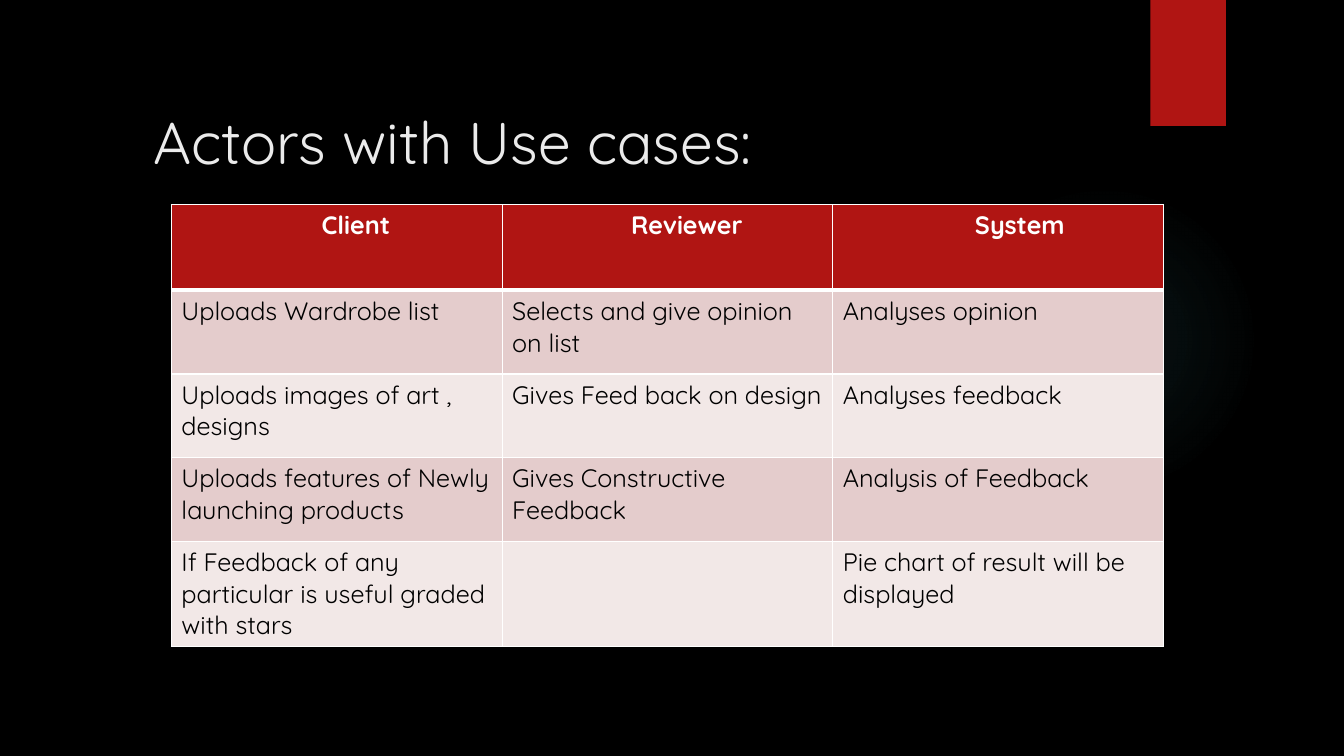
from lxml import etree
from pptx import Presentation
from pptx import util as u
from pptx.dml.color import RGBColor
from pptx.enum import shapes, text
from pptx.oxml import parse_xml
from pptx.oxml.ns import nsdecls, qn

BLACK = RGBColor(0x00, 0x00, 0x00)
WHITE = RGBColor(0xFF, 0xFF, 0xFF)
TITLE_GREY = RGBColor(0xEB, 0xEB, 0xEB)
RED = RGBColor(0xB0, 0x15, 0x13)
TEAL = RGBColor(0x50, 0xB9, 0xC1)
BANDS = [RGBColor(0xE4, 0xCC, 0xCC), RGBColor(0xF2, 0xE8, 0xE7)]
FONT = "Quicksand"


def add_span(para, wording, size, color, bold=False):
    span = para.add_run()
    span.text = wording
    span.font.name = FONT
    span.font.size = u.Pt(size)
    span.font.bold = bold
    span.font.color.rgb = color


def add_border(cell, side, width):
    line = etree.SubElement(cell._tc.get_or_add_tcPr(), qn(f"a:ln{side}"), w=str(u.Pt(width)))
    fill = etree.SubElement(line, qn("a:solidFill"))
    etree.SubElement(fill, qn("a:srgbClr"), val=str(WHITE))


deck = Presentation()
deck.slide_width, deck.slide_height = u.Inches(13.33), u.Inches(7.5)
page = deck.slides.add_slide(deck.slide_layouts[5])
page.background.fill.solid()
page.background.fill.fore_color.rgb = BLACK

# Soft glow, fading out from its centre
glow = page.shapes.add_shape(shapes.MSO_SHAPE.OVAL, u.Inches(9.41), u.Inches(1.83),
                             u.Inches(3.08), u.Inches(3.08))
glow.shadow.inherit = False
glow.line.fill.background()
glow.fill.background()
stops = "".join(
    f'<a:gs pos="{place * 1000}"><a:srgbClr val="{TEAL}"><a:alpha val="{alpha * 1000}"/></a:srgbClr></a:gs>'
    for place, alpha in [(0, 7), (36, 6), (69, 0)])
gradient = parse_xml(
    f'<a:gradFill {nsdecls("a")}><a:gsLst>{stops}</a:gsLst><a:path path="circle">'
    '<a:fillToRect l="50000" t="50000" r="50000" b="50000"/></a:path></a:gradFill>')
properties = glow._element.spPr
properties.replace(properties.find(qn("a:noFill")), gradient)

# Red tab at the top edge
tab = page.shapes.add_shape(shapes.MSO_SHAPE.RECTANGLE, u.Inches(11.41), 0,
                            u.Inches(0.75), u.Inches(1.25))
tab.shadow.inherit = False
tab.fill.solid()
tab.fill.fore_color.rgb = RED
tab.line.fill.background()

# Title
title = page.shapes.title
title.left, title.top = u.Inches(1.42), u.Inches(0.94)
title.width, title.height = u.Inches(10.5), u.Inches(0.91)
title.text_frame.vertical_anchor = text.MSO_ANCHOR.MIDDLE
title.text_frame.auto_size = text.MSO_AUTO_SIZE.NONE
title_para = title.text_frame.paragraphs[0]
title_para.alignment = text.PP_ALIGN.LEFT
add_span(title_para, "Actors with Use cases:", 42, TITLE_GREY)

# Table of actors: header row, then banded rows
ROWS = [
    ["Client", "Reviewer", "System"],
    ["Uploads Wardrobe list", "Selects and give opinion on list", "Analyses opinion"],
    ["Uploads images of art , designs", "Gives Feed back on design", "Analyses feedback"],
    ["Uploads features of Newly launching products", "Gives Constructive Feedback",
     "Analysis of Feedback"],
    ["If Feedback of any particular is useful graded with stars", "",
     "Pie chart of result will be displayed"],
]
HEADER_INDENTS = [1.39, 1.18, 1.31]
ROW_HEIGHTS = [0.85, 0.83, 0.83, 0.83, 1.04]
COLUMN_WIDTH = 3.28

table = page.shapes.add_table(len(ROWS), 3, u.Inches(1.7), u.Inches(2.03),
                              u.Inches(3 * COLUMN_WIDTH), u.Inches(sum(ROW_HEIGHTS))).table
for column in table.columns:
    column.width = u.Inches(COLUMN_WIDTH)

for r, wordings in enumerate(ROWS):
    table.rows[r].height = u.Inches(ROW_HEIGHTS[r])
    header = r == 0
    for c, wording in enumerate(wordings):
        cell = table.cell(r, c)
        for side in "LRTB":
            under_header = (header and side == "B") or (r == 1 and side == "T")
            add_border(cell, side, 3 if under_header else 1)
        cell.fill.solid()
        cell.fill.fore_color.rgb = RED if header else BANDS[(r - 1) % 2]
        para = cell.text_frame.paragraphs[0]
        if header:
            para._p.get_or_add_pPr().set("marL", str(u.Inches(HEADER_INDENTS[c])))
        if wording:
            add_span(para, wording, 18, WHITE if header else BLACK, header)

deck.save("out.pptx")
